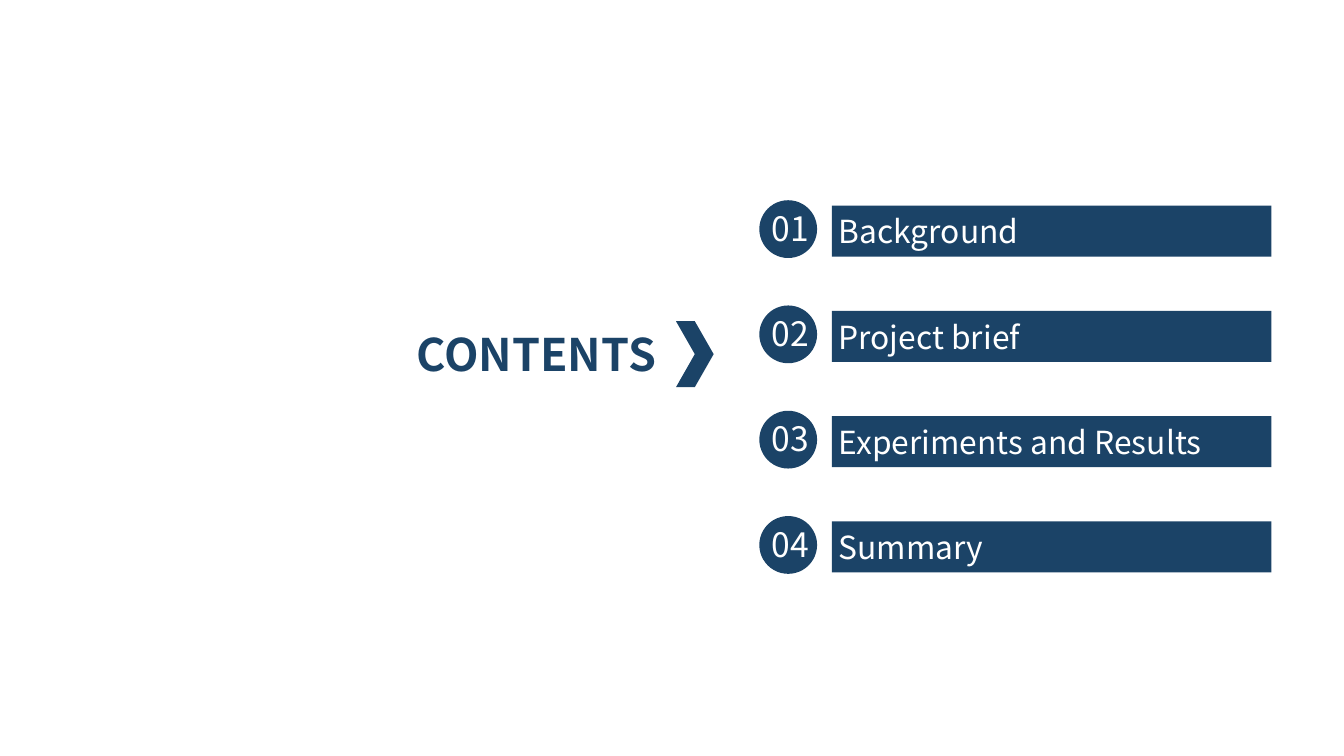
from pptx import Presentation
from pptx.dml.color import RGBColor
from pptx.enum.shapes import MSO_SHAPE
from pptx.enum.text import MSO_ANCHOR, PP_ALIGN
from pptx.util import Inches, Pt

SECTIONS = ["Background", "Project brief", "Experiments and Results", "Summary"]
NAVY, WHITE = "1B4367", "FFFFFF"
FONT = "Noto Sans CJK SC"
FIRST_TOP = 1.49
ROW_PITCH = 2.35 / (len(SECTIONS) - 1)


def color(hex_value):
    return RGBColor.from_string(hex_value)


def add_solid(shapes, kind, *place):
    shape = shapes.add_shape(kind, *map(Inches, place))
    shape.shadow.inherit = False
    shape.fill.solid()
    shape.fill.fore_color.rgb = color(NAVY)
    shape.line.fill.background()
    return shape


def write(shape, text, size, hex_value, align=PP_ALIGN.LEFT, bold=False):
    frame = shape.text_frame
    frame.word_wrap = True
    frame.vertical_anchor = MSO_ANCHOR.MIDDLE
    frame.margin_left = frame.margin_right = Inches(0.05)
    frame.margin_top = frame.margin_bottom = Inches(0.05)
    para = frame.paragraphs[0]
    para.text = text
    para.alignment = align
    para.font.name = FONT
    para.font.size = Pt(size)
    para.font.bold = bold
    para.font.color.rgb = color(hex_value)


def add_text(shapes, place, *style, **options):
    write(shapes.add_textbox(*map(Inches, place)), *style, **options)


deck = Presentation()
deck.slide_width, deck.slide_height = Inches(10), Inches(10 * 9 / 16)
page = deck.slides.add_slide(deck.slide_layouts[6])

add_text(page.shapes, (3.05, 2.38, 2.21, 0.5), "CONTENTS", 24, NAVY, bold=True)

for index, section in enumerate(SECTIONS):
    top = FIRST_TOP + index * ROW_PITCH
    bar = add_solid(page.shapes, MSO_SHAPE.RECTANGLE, 6.19, top + 0.04, 3.27, 0.38)
    write(bar, section, 17, WHITE)
    badge = page.shapes.add_group_shape()
    add_solid(badge.shapes, MSO_SHAPE.OVAL, 5.65, top, 0.43, 0.43)
    add_text(badge.shapes, (5.67, top, 0.42, 0.41),
             f"{index + 1:02}", 18, WHITE, align=PP_ALIGN.CENTER)

add_solid(page.shapes, MSO_SHAPE.CHEVRON, 5.03, 2.39, 0.28, 0.49)

deck.save("out.pptx")
